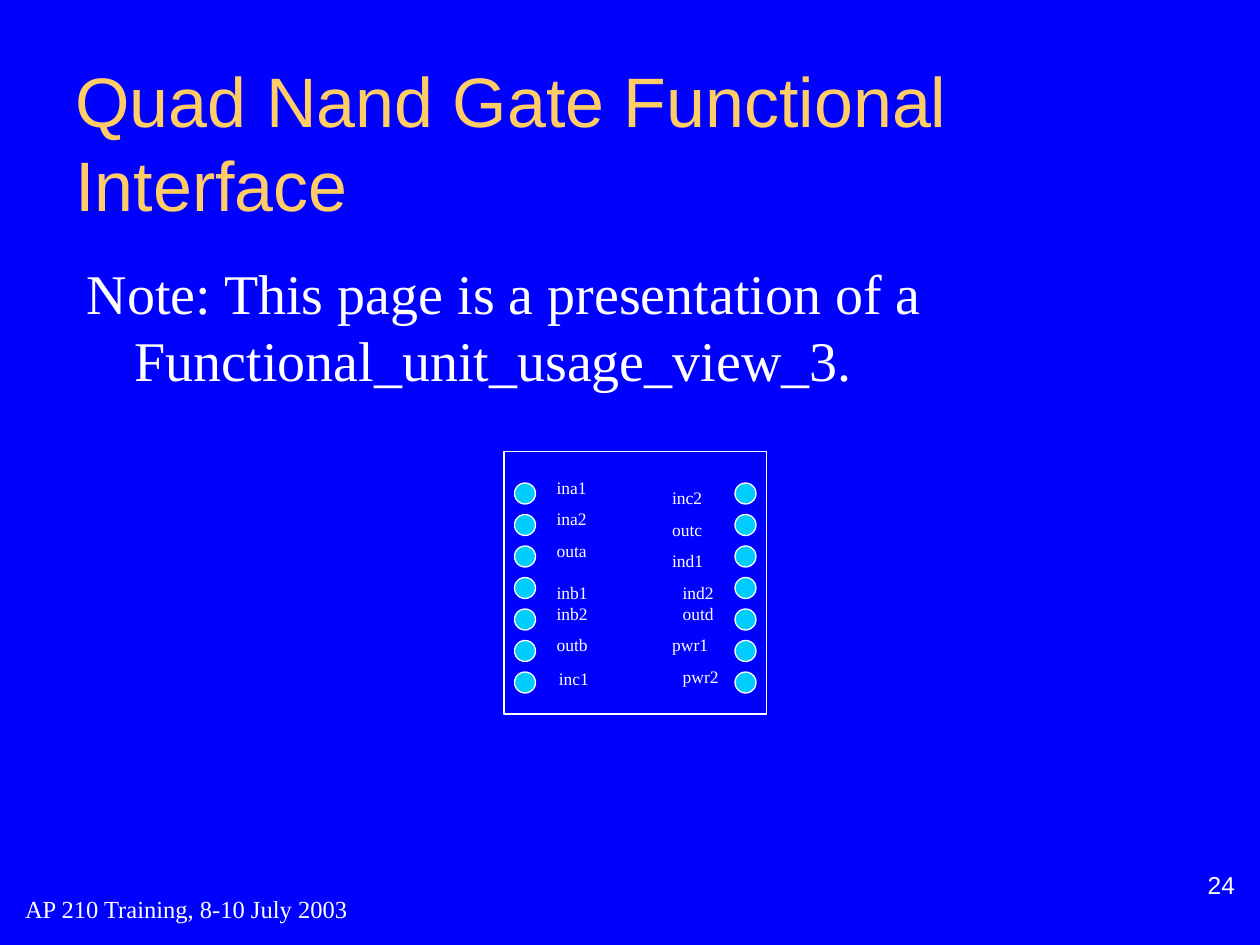
"""Build the quad NAND gate functional interface slide on a grid of 120 columns by 90 rows."""
from typing import NamedTuple

from pptx import Presentation
from pptx import util as u
from pptx.dml.color import RGBColor
from pptx.enum import shapes, text
from lxml import etree

UNIT = u.Inches(1) // 12
WHITE, GOLD, CYAN, BLUE = "FFFFFF", "FFCC66", "00CCFF", "0000FF"
SERIF, SANS = "Times New Roman", "Arial"
DRAWING = "http://schemas.openxmlformats.org/drawingml/2006/main"


class Area(NamedTuple):
    column: float
    row: float
    width: float
    height: float


class Pin(NamedTuple):
    name: str
    column: float
    row: float


LEFT_PINS = [
    Pin("ina1", 52, 45), Pin("ina2", 52, 48), Pin("outa", 52, 51), Pin("inb1", 52, 55),
    Pin("inb2", 52, 57), Pin("outb", 52, 60), Pin("inc1", 52.2, 63.2),
]
RIGHT_PINS = [
    Pin("inc2", 63, 46), Pin("outc", 63, 49), Pin("ind1", 63, 52), Pin("ind2", 64, 55),
    Pin("outd", 64, 57), Pin("pwr1", 63, 60), Pin("pwr2", 64, 63),
]


def color(value: str) -> RGBColor:
    return RGBColor.from_string(value)


def place(area: Area) -> list[int]:
    return [round(length * UNIT) for length in area]


def move(shape, area: Area) -> None:
    shape.left, shape.top, shape.width, shape.height = place(area)


def write(shape, words: str, size: float, font: str, fill: str = WHITE,
          anchor=text.MSO_ANCHOR.TOP, align=text.PP_ALIGN.LEFT, wrap: bool = True):
    frame = shape.text_frame
    frame.auto_size = text.MSO_AUTO_SIZE.NONE if wrap else text.MSO_AUTO_SIZE.SHAPE_TO_FIT_TEXT
    frame.word_wrap = wrap
    frame.vertical_anchor = anchor
    paragraph = frame.paragraphs[0]
    paragraph.alignment = align
    paragraph.space_before = u.Pt(0)
    run = paragraph.add_run()
    run.text = words
    run.font.size = u.Pt(size)
    run.font.name = font
    run.font.color.rgb = color(fill)
    return paragraph


def add_outline(slide, kind, area: Area, fill: str | None = None) -> None:
    shape = slide.shapes.add_shape(kind, *place(area))
    shape.shadow.inherit = False
    if fill:
        shape.fill.solid()
        shape.fill.fore_color.rgb = color(fill)
    else:
        shape.fill.background()
    shape.line.color.rgb = color(WHITE)
    shape.line.width = u.Pt(0.75)


def add_text(slide, area: Area, words: str, size: float, font: str, **options):
    box = slide.shapes.add_textbox(*place(area))
    write(box, words, size, font, **options)
    return box


def add_pins(slide, pins: list[Pin], dot_column: float) -> None:
    for index, pin in enumerate(pins):
        add_outline(slide, shapes.MSO_SHAPE.OVAL, Area(dot_column, 46 + 3 * index, 2, 2), CYAN)
        width = 5.9 if pin.name.startswith("pwr") else 5.5
        add_text(slide, Area(pin.column - 0.16, pin.row - 0.2, width, 3.2),
                 pin.name, 10, SERIF, wrap=False)


def add_note(body) -> None:
    move(body, Area(6, 24, 108, 54))
    body.text_frame.margin_left = body.text_frame.margin_right = u.Inches(0.19)
    paragraph = write(body, "Note: This page is a presentation of a "
                      "Functional_unit_usage_view_3.", 32, SERIF)
    properties = paragraph._p.get_or_add_pPr()
    properties.set("marL", str(u.Inches(0.38)))
    properties.set("indent", str(-u.Inches(0.38)))
    etree.SubElement(properties, f"{{{DRAWING}}}buNone")


def main() -> None:
    presentation = Presentation()
    presentation.slide_width, presentation.slide_height = 120 * UNIT, 90 * UNIT
    slide = presentation.slides.add_slide(presentation.slide_layouts[1])
    slide.background.fill.solid()
    slide.background.fill.fore_color.rgb = color(BLUE)

    title = slide.shapes.title
    move(title, Area(6, 6, 108, 15))
    write(title, "Quad Nand Gate Functional Interface", 40, SANS, GOLD,
          anchor=text.MSO_ANCHOR.MIDDLE)
    add_note(slide.placeholders[1])

    add_outline(slide, shapes.MSO_SHAPE.RECTANGLE, Area(48, 43, 25, 25))
    add_pins(slide, LEFT_PINS, 49)
    add_pins(slide, RIGHT_PINS, 70)

    add_text(slide, Area(1.2, 83.5, 56, 6), "AP 210 Training, 8-10 July 2003", 14, SERIF,
             anchor=text.MSO_ANCHOR.MIDDLE)
    number = add_text(slide, Area(94.2, 80.7, 24.6, 5), "24", 14, SANS,
                      anchor=text.MSO_ANCHOR.BOTTOM, align=text.PP_ALIGN.RIGHT)
    number.text_frame.margin_top = number.text_frame.margin_bottom = 0

    presentation.save("out.pptx")


if __name__ == "__main__":
    main()
